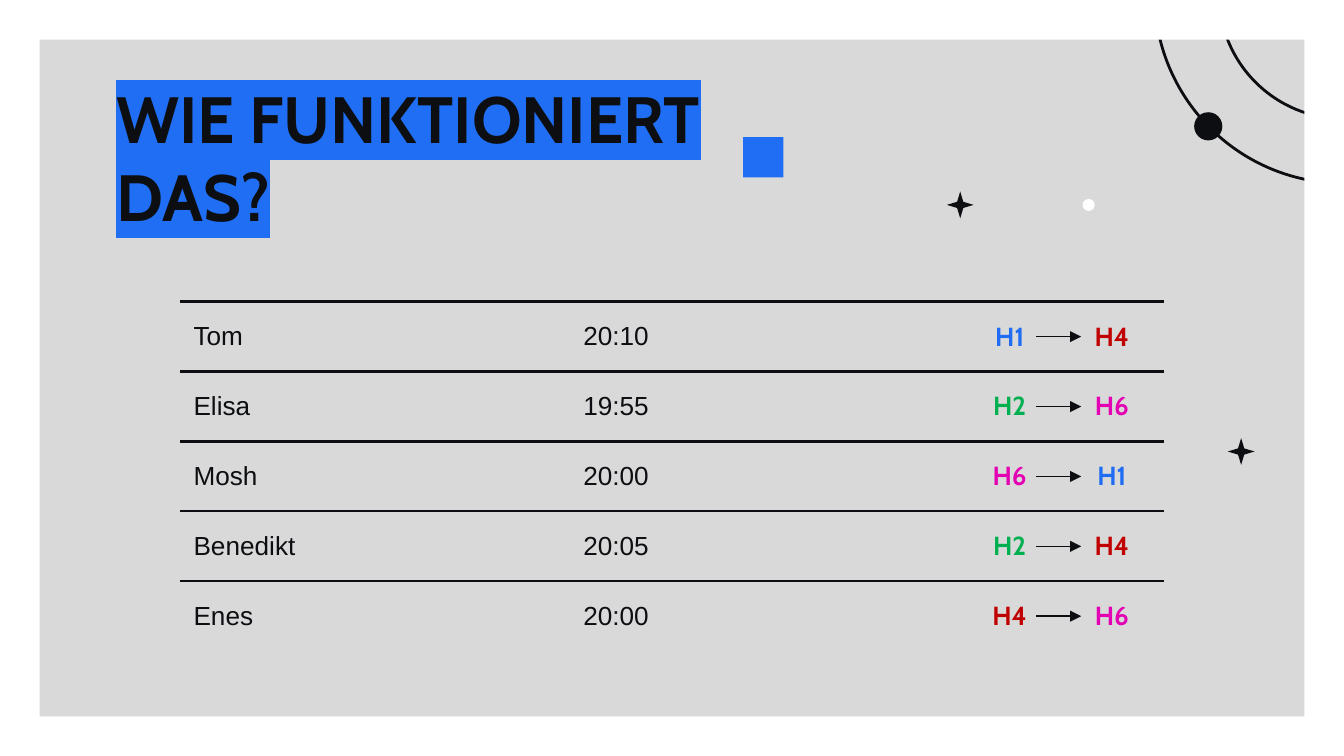
from lxml.etree import SubElement
from pptx import Presentation
from pptx.dml.color import RGBColor
from pptx.enum.shapes import MSO_CONNECTOR, MSO_SHAPE as Preset
from pptx.enum.text import MSO_ANCHOR as Anchor, MSO_AUTO_SIZE as AutoSize, PP_ALIGN as Align
from pptx.oxml import parse_xml
from pptx.oxml.ns import nsdecls, qn
from pptx.util import Pt

PX = 4572  # 200 px to the inch
INK, BLUE, GREY, WHITE = "0C0E11", "1F6EF3", "D9D9D9", "FFFFFF"
HOUSE_COLORS = {"H1": "206DF4", "H2": "00B050", "H4": "C00000", "H6": "E300B3"}
NO_STYLE = "{2D5ABB26-0587-4C30-8999-92F81FD0307C}"

WIDTH, HEIGHT, MARGIN, INSET = 2000, 1125, 59, 20
TABLE_LEFT, TABLE_TOP, ROW_HEIGHT = 268, 449, 104
COLUMNS = (580, 580, 149, 155)
TRIPS = (
    ("Tom", "20:10", "H1", "H4"),
    ("Elisa", "19:55", "H2", "H6"),
    ("Mosh", "20:00", "H6", "H1"),
    ("Benedikt", "20:05", "H2", "H4"),
    ("Enes", "20:00", "H4", "H6"),
)


def px(*lengths):
    return [length * PX for length in lengths]


def rgb(color):
    return RGBColor.from_string(color)


def inset(box):
    """Give a cell or text frame the same margin on all sides."""
    box.margin_left = box.margin_top = box.margin_right = box.margin_bottom = INSET * PX


def write(frame, text, size=14, font="Arial", color=INK, bold=False,
          align=Align.LEFT, highlight=None):
    paragraph = frame.paragraphs[0]
    paragraph.alignment = align
    run = paragraph.add_run()
    run.text = text
    run.font.size, run.font.bold, run.font.name = Pt(size), bold, font
    run.font.color.rgb = rgb(color)
    if highlight:
        run.font._element.find(qn("a:solidFill")).addnext(parse_xml(
            f'<a:highlight {nsdecls("a")}><a:srgbClr val="{highlight}"/></a:highlight>'))


class Deck:
    """Holds the presentation, its look and the current slide."""

    def __init__(self):
        self.show = Presentation()
        self.show.slide_width, self.show.slide_height = px(WIDTH, HEIGHT)
        self.slide = self.show.slides.add_slide(self.show.slide_layouts[5])
        self.slide.background.fill.solid()
        self.slide.background.fill.fore_color.rgb = rgb(GREY)
        self.shapes = self.slide.shapes

    def paint(self, shape, fill=None, line=None):
        shape.shadow.inherit = False
        for part, color in ((shape.fill, fill), (shape.line.fill, line)):
            if color:
                part.solid()
                part.fore_color.rgb = rgb(color)
            else:
                part.background()
        if line:
            shape.line.width = Pt(1.5)

    def block(self, preset, left, top, width, height, **colors):
        shape = self.shapes.add_shape(preset, *px(left, top, width, height))
        self.paint(shape, **colors)

    def sparkle(self, x, y, long=20, short=6):
        """Cross a tall and a wide diamond at one centre."""
        for dx, dy in ((short, long), (long, short)):
            outline = self.shapes.build_freeform(x, y - dy, scale=PX)
            outline.add_line_segments([(x - dx, y), (x, y + dy), (x + dx, y)])
            self.paint(outline.convert_to_shape(), fill=INK)

    def title(self, text, left, top, width, height):
        title = self.shapes.title
        title.left, title.top, title.width, title.height = px(left, top, width, height)
        frame = title.text_frame
        frame.word_wrap, frame.auto_size = True, AutoSize.NONE
        frame.vertical_anchor = Anchor.TOP
        inset(frame)
        write(frame, text, size=35, font="Cabin", bold=True, highlight=BLUE)

    def table(self, rows):
        table = self.shapes.add_table(
            len(rows), len(COLUMNS),
            *px(TABLE_LEFT, TABLE_TOP, sum(COLUMNS), ROW_HEIGHT * len(rows))).table
        table.first_row = table.horz_banding = False
        table._tbl.tblPr.find(qn("a:tableStyleId")).text = NO_STYLE
        for column, width in zip(table.columns, px(*COLUMNS)):
            column.width = width
        for row, texts in zip(table.rows, rows):
            row.height = ROW_HEIGHT * PX
            for cell, text in zip(row.cells, texts):
                self.cell(cell, text)

    def cell(self, cell, text):
        cell.fill.background()
        cell.vertical_anchor = Anchor.MIDDLE
        inset(cell)
        cell._tc.tcPr.insert(0, parse_xml(
            f'<a:lnT {nsdecls("a")} w="{Pt(1.5)}"><a:solidFill>'
            f'<a:srgbClr val="{INK}"/></a:solidFill></a:lnT>'))
        if text in HOUSE_COLORS:
            write(cell.text_frame, text, font="Cabin", bold=True,
                  color=HOUSE_COLORS[text], align=Align.CENTER)
        else:
            write(cell.text_frame, text)

    def arrow(self, start, end, y):
        arrow = self.shapes.add_connector(MSO_CONNECTOR.STRAIGHT, *px(start, y, end, y))
        arrow.line.color.rgb, arrow.line.width = rgb(INK), Pt(0.75)
        SubElement(arrow.line._get_or_add_ln(), qn("a:tailEnd"), type="triangle")
        SubElement(arrow._element.spPr, qn("a:effectLst"))


def main():
    deck = Deck()
    deck.block(Preset.OVAL, 1718, -291, 564, 564, line=INK)
    deck.block(Preset.OVAL, 1814, -195, 372, 372, line=INK)
    deck.sparkle(1847, 672)
    deck.block(Preset.OVAL, 1611, 296, 18, 18, fill=WHITE)
    for left, top, width, height in (
            (0, 0, WIDTH, MARGIN), (0, HEIGHT - MARGIN, WIDTH, MARGIN),
            (WIDTH - MARGIN, 0, MARGIN, HEIGHT), (0, 0, MARGIN, HEIGHT)):
        deck.block(Preset.RECTANGLE, left, top, width, height, fill=WHITE)
    deck.sparkle(1429, 305)
    deck.block(Preset.OVAL, 1777, 167, 42, 42, fill=INK)

    deck.title("WIE FUNKTIONIERT DAS?", 153, 96, 1012, 278)
    deck.table(TRIPS)
    deck.block(Preset.RECTANGLE, 1106, 204, 60, 60, fill=BLUE)
    for index in range(len(TRIPS)):
        deck.arrow(1542, 1609, TABLE_TOP + ROW_HEIGHT // 2 + index * ROW_HEIGHT)
    deck.show.save("out.pptx")


if __name__ == "__main__":
    main()
